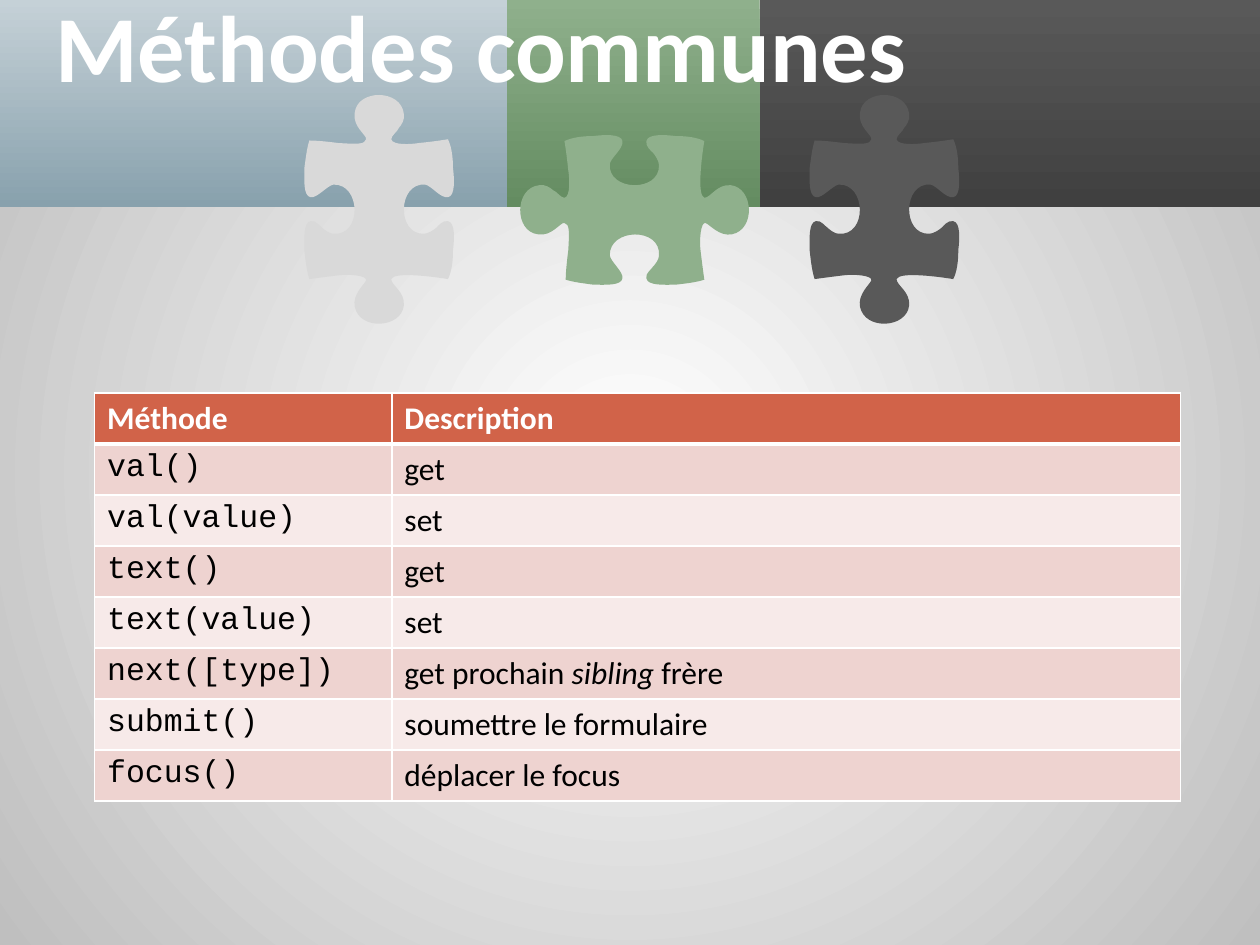
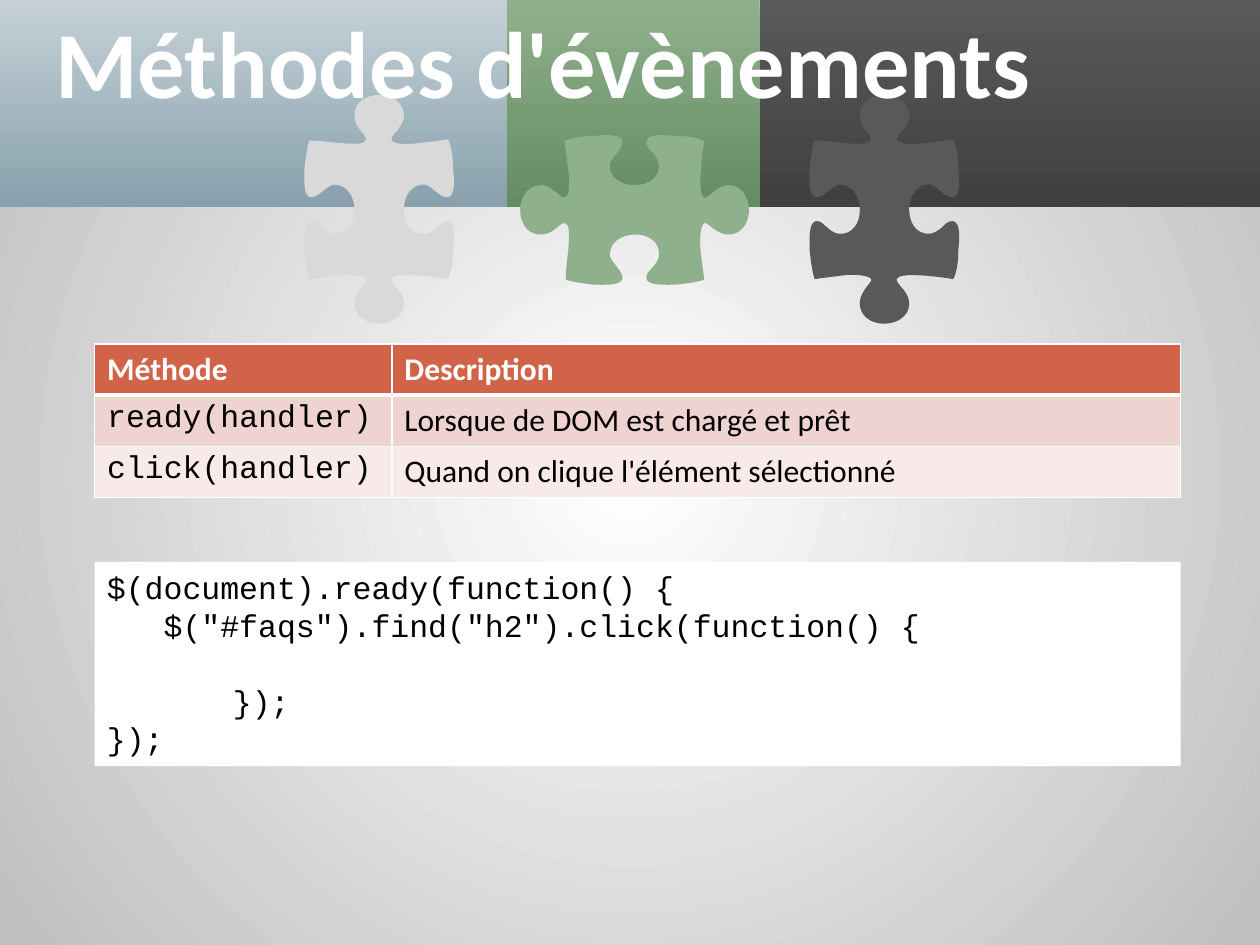
from dataclasses import dataclass

from lxml.etree import SubElement
from pptx import Presentation
from pptx.dml.color import RGBColor
from pptx.enum.shapes import MSO_SHAPE as Preset
from pptx.enum.text import MSO_ANCHOR as Anchor, MSO_AUTO_SIZE as AutoSize, PP_ALIGN as Align
from pptx.oxml.ns import qn
from pptx.util import Inches, Pt

COLORS = {
    "white": "FFFFFF", "black": "000000", "backdrop": "BFBFBF",
    "blue_top": "C5D1D7", "blue_bottom": "88A1AD",
    "green_top": "8FB08C", "green_bottom": "648C61",
    "gray_top": "595959", "gray_bottom": "404040",
    "pale_gray": "D9D9D9",
    "header": "D16349", "odd_row": "EED3D0", "even_row": "F7EAE9",
}
BODY_FONT = "Calibri"
CODE_FONT = "Courier New"
CONTENT_LEFT = 0.75
CONTENT_WIDTH = 8.62
COLUMN_WIDTHS = (2.36, 6.26)
BAND_HEIGHT = 1.64
PUZZLE_TOP = 1.06

# Puzzle outline in hundredths of an inch: a start, then Bézier curves
# (two control points and an end).
PUZZLE_START = (151, 6)
PUZZLE_CURVES = (
    (149, 18, 145, 49, 151, 51), (156, 51, 161, 40, 172, 41),
    (190, 43, 192, 76, 173, 80), (163, 82, 155, 72, 152, 71),
    (148, 70, 147, 85, 148, 93), (149, 101, 150, 109, 151, 116),
    (145, 118, 137, 119, 128, 120), (120, 120, 106, 121, 105, 115),
    (104, 111, 109, 108, 110, 106), (112, 104, 115, 100, 115, 97),
    (117, 74, 75, 75, 76, 97), (77, 102, 87, 110, 86, 115),
    (85, 121, 72, 120, 63, 120), (56, 119, 47, 118, 41, 116),
    (41, 110, 42, 101, 43, 93), (44, 77, 44, 72, 40, 71),
    (37, 70, 30, 82, 19, 80), (0, 78, 0, 43, 20, 41),
    (24, 40, 29, 43, 31, 45), (34, 46, 37, 51, 40, 51),
    (45, 50, 44, 35, 43, 29), (42, 19, 41, 12, 40, 6),
    (46, 3, 55, 2, 63, 2), (71, 1, 85, 0, 86, 6),
    (87, 12, 77, 19, 76, 24), (74, 46, 116, 47, 115, 25),
    (115, 22, 112, 17, 110, 15), (109, 14, 104, 10, 105, 6),
    (106, 0, 120, 1, 128, 2), (137, 2, 145, 3, 151, 6),
)


@dataclass(frozen=True)
class Band:
    left: float
    width: float
    top_color: str
    bottom_color: str


@dataclass(frozen=True)
class PuzzlePiece:
    left: float
    color: str
    rotation: int


@dataclass(frozen=True)
class MethodTable:
    """Rows of (method, description); *word* in a description is italic."""
    top: float
    height: float
    rows: tuple[tuple[str, str], ...]


BANDS = (
    Band(0, 4.03, "blue_top", "blue_bottom"),
    Band(4.02, 2.01, "green_top", "green_bottom"),
    Band(6.03, 3.97, "gray_top", "gray_bottom"),
)
PUZZLE_PIECES = (
    PuzzlePiece(2.05, "pale_gray", 90),
    PuzzlePiece(4.08, "green_top", 0),
    PuzzlePiece(6.06, "gray_top", 90),
)
HEADER_ROW = ("Méthode", "Description")
COMMON_METHODS = MethodTable(3.12, 3.24, (
    ("val()", "get"),
    ("val(value)", "set"),
    ("text()", "get"),
    ("text(value)", "set"),
    ("next([type])", "get prochain *sibling *frère"),
    ("submit()", "soumettre le formulaire"),
    ("focus()", "déplacer le focus"),
))
EVENT_METHODS = MethodTable(2.73, 1.22, (
    ("ready(handler)", "Lorsque de DOM est chargé et prêt"),
    ("click(handler)", "Quand on clique l'élément sélectionné"),
))
READY_CODE = """$(document).ready(function() {
   $("#faqs").find("h2").click(function() {

\t});\t
});"""


def rgb(name: str) -> RGBColor:
    return RGBColor.from_string(COLORS[name])


def format_run(run, size: int, font: str, color: str, bold: bool = False) -> None:
    run.font.size = Pt(size)
    run.font.name = font
    run.font.bold = bold
    run.font.color.rgb = rgb(color)


def fill_solid(fill, color: str) -> None:
    fill.solid()
    fill.fore_color.rgb = rgb(color)


def fill_gradient(fill, *colors: str) -> None:
    fill.gradient()
    for stop, color in zip(fill.gradient_stops, colors):
        stop.color.rgb = rgb(color)


def set_background(slide) -> None:
    """Radial gradient, white at the centre."""
    fill_gradient(slide.background.fill, "white", "backdrop")
    gradient = slide.element.find(".//" + qn("a:gradFill"))
    gradient.remove(gradient.find(qn("a:lin")))
    circle = SubElement(gradient, qn("a:path"), path="circle")
    SubElement(circle, qn("a:fillToRect"), l="50000", t="50000", r="50000", b="50000")


def add_band(slide, band: Band) -> None:
    shape = slide.shapes.add_shape(
        Preset.RECTANGLE, Inches(band.left), 0, Inches(band.width), Inches(BAND_HEIGHT))
    shape.shadow.inherit = False
    shape.line.fill.background()
    fill_gradient(shape.fill, band.top_color, band.bottom_color)
    shape.fill.gradient_angle = 270


def curve_outline(shape) -> None:
    """Turn each three line segments of a freeform into one Bézier curve."""
    segments = list(shape.element.iter(qn("a:lnTo")))
    for first, second, third in zip(segments[::3], segments[1::3], segments[2::3]):
        outline = first.getparent()
        curve = SubElement(outline, qn("a:cubicBezTo"))
        outline.replace(first, curve)
        for segment in (first, second, third):
            curve.append(segment[0])
        outline.remove(second)
        outline.remove(third)


def add_puzzle_piece(slide, piece: PuzzlePiece) -> None:
    points = [PUZZLE_START]
    for curve in PUZZLE_CURVES:
        points.extend(zip(curve[::2], curve[1::2]))
    start, *others = [
        (Inches(piece.left + x / 100), Inches(PUZZLE_TOP + y / 100)) for x, y in points]
    builder = slide.shapes.build_freeform(*start)
    builder.add_line_segments(others, close=True)
    shape = builder.convert_to_shape()
    curve_outline(shape)
    shape.shadow.inherit = False
    shape.rotation = piece.rotation
    fill_solid(shape.fill, piece.color)
    shape.line.fill.background()


def add_title(slide, text: str, top: float) -> None:
    box = slide.shapes.add_textbox(Inches(0.34), Inches(top), Inches(9.04), Inches(1.45))
    text_frame = box.text_frame
    text_frame.word_wrap = True
    text_frame.vertical_anchor = Anchor.MIDDLE
    text_frame.text = text
    paragraph = text_frame.paragraphs[0]
    paragraph.line_spacing = 0.9
    format_run(paragraph.runs[0], 54, BODY_FONT, "white", bold=True)


def set_borders(cell, top: int, bottom: int) -> None:
    """White borders, one point wide at the sides."""
    properties = cell._tc.get_or_add_tcPr()
    for side, width in (("L", 1), ("R", 1), ("T", top), ("B", bottom)):
        line = SubElement(properties, qn(f"a:ln{side}"), w=str(Pt(width)))
        fill = SubElement(line, qn("a:solidFill"))
        SubElement(fill, qn("a:srgbClr"), val=COLORS["white"])


def add_method_table(slide, methods: MethodTable) -> None:
    rows = (HEADER_ROW, *methods.rows)
    table = slide.shapes.add_table(
        len(rows), len(COLUMN_WIDTHS), Inches(CONTENT_LEFT), Inches(methods.top),
        Inches(CONTENT_WIDTH), Inches(methods.height)).table
    for column, width in zip(table.columns, COLUMN_WIDTHS):
        column.width = Inches(width)
    for row_index, row in enumerate(rows):
        is_header = row_index == 0
        row_color = "header" if is_header else ("even_row", "odd_row")[row_index % 2]
        for column_index, text in enumerate(row):
            cell = table.cell(row_index, column_index)
            set_borders(cell, 3 if row_index == 1 else 1, 3 if is_header else 1)
            fill_solid(cell.fill, row_color)
            is_code = column_index == 0 and not is_header
            paragraph = cell.text_frame.paragraphs[0]
            for part_index, part in enumerate(text.split("*")):
                run = paragraph.add_run()
                run.text = part
                format_run(run, 18, CODE_FONT if is_code else BODY_FONT,
                           "white" if is_header else "black", bold=is_header)
                run.font.italic = part_index % 2 == 1


def add_code_box(slide, code: str) -> None:
    shape = slide.shapes.add_shape(
        Preset.RECTANGLE, Inches(CONTENT_LEFT), Inches(4.46),
        Inches(CONTENT_WIDTH), Inches(1.62))
    shape.shadow.inherit = False
    fill_solid(shape.fill, "white")
    shape.line.fill.background()
    text_frame = shape.text_frame
    text_frame.word_wrap = True
    text_frame.auto_size = AutoSize.SHAPE_TO_FIT_TEXT
    text_frame.vertical_anchor = Anchor.TOP
    text_frame.text = code
    for paragraph in text_frame.paragraphs:
        paragraph.alignment = Align.LEFT
        paragraph._p.get_or_add_pPr().set("defTabSz", str(Inches(1)))
        for run in paragraph.runs:
            format_run(run, 18, CODE_FONT, "black")
        if not paragraph.runs:
            line_end = SubElement(paragraph._p, qn("a:endParaRPr"), sz="1800")
            SubElement(line_end, qn("a:latin"), typeface=CODE_FONT)


def add_method_slide(presentation, title: str, title_top: float, methods: MethodTable):
    slide = presentation.slides.add_slide(presentation.slide_layouts[6])
    set_background(slide)
    for band in BANDS:
        add_band(slide, band)
    for piece in PUZZLE_PIECES:
        add_puzzle_piece(slide, piece)
    add_title(slide, title, title_top)
    add_method_table(slide, methods)
    return slide


def main() -> None:
    presentation = Presentation()
    presentation.slide_width = Inches(10)
    presentation.slide_height = Inches(7.5)
    add_method_slide(presentation, "Méthodes communes", -0.31, COMMON_METHODS)
    event_slide = add_method_slide(
        presentation, "Méthodes d'évènements", -0.19, EVENT_METHODS)
    add_code_box(event_slide, READY_CODE)
    presentation.save("out.pptx")


if __name__ == "__main__":
    main()
